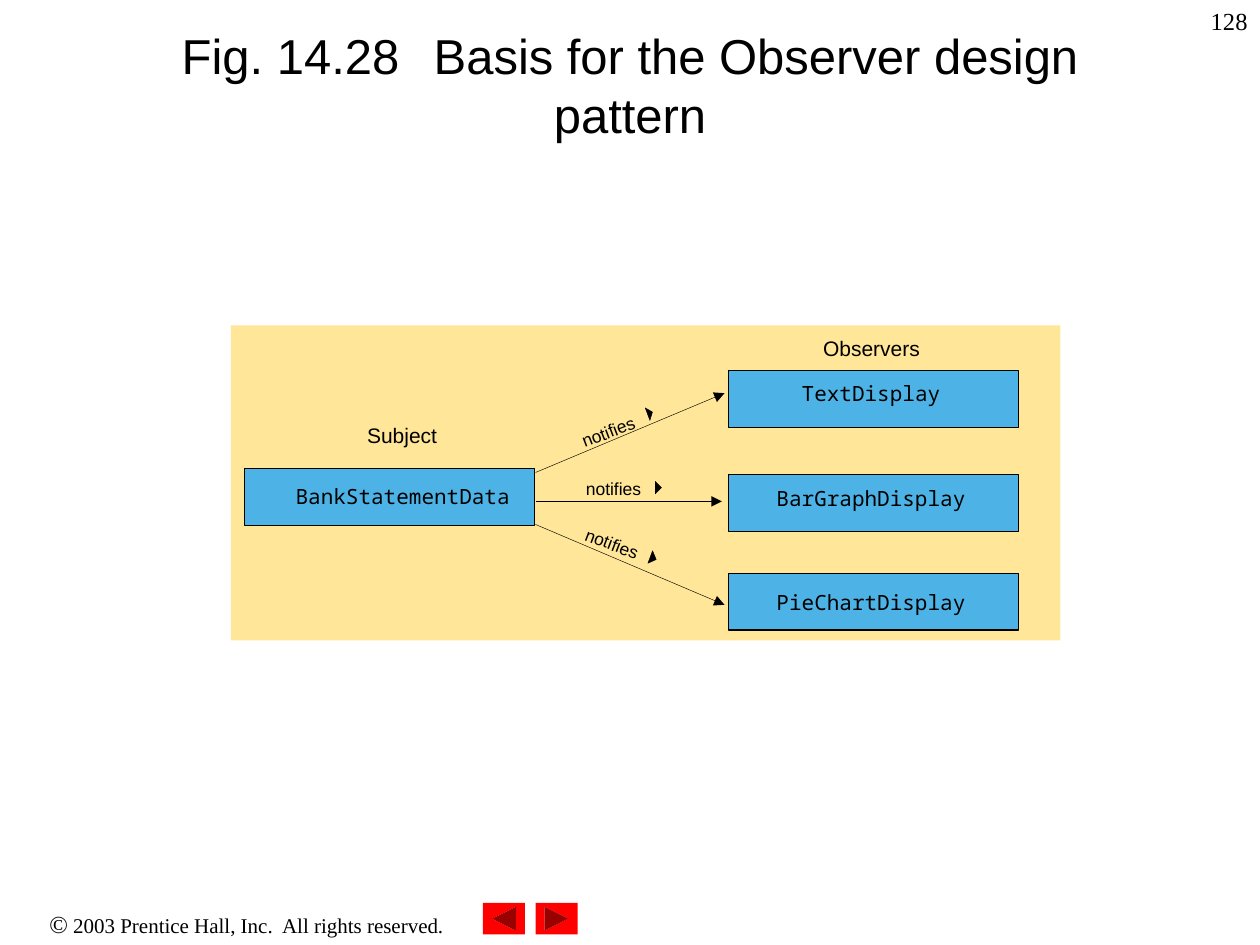
from lxml import etree
from pptx import Presentation
from pptx.dml.color import RGBColor
from pptx.enum.shapes import MSO_CONNECTOR, MSO_SHAPE
from pptx.enum.text import MSO_ANCHOR, PP_ALIGN
from pptx.oxml.ns import qn
from pptx.util import Inches, Pt

LEFT, CENTER, RIGHT = PP_ALIGN.LEFT, PP_ALIGN.CENTER, PP_ALIGN.RIGHT
TOP, MIDDLE = MSO_ANCHOR.TOP, MSO_ANCHOR.MIDDLE
RECTANGLE = MSO_SHAPE.RECTANGLE
NEXT_BUTTON = MSO_SHAPE.ACTION_BUTTON_FORWARD_OR_NEXT
STRAIGHT = MSO_CONNECTOR.STRAIGHT

THEME = {
    "ink": RGBColor.from_string("000000"),
    "panel": RGBColor.from_string("FFE699"),
    "class": RGBColor.from_string("4DB3E6"),
    "button": RGBColor.from_string("FF0000"),
    "sans": "Arial",
    "mono": "Noto Sans Mono",
    "serif": "Times New Roman",
    "title": Pt(28),
    "number": Pt(14),
    "label": Pt(12),
    "small": Pt(10),
}

deck = Presentation()
deck.slide_width, deck.slide_height = Inches(10), Inches(7.5)
COLUMNS, ROWS = 120, 90
page = deck.slides.add_slide(deck.slide_layouts[6])


def grid(column, row):
    return (round(column * deck.slide_width / COLUMNS),
            round(row * deck.slide_height / ROWS))


def add_text(text, area, font, size, align, anchor=TOP, tight=False, angle=0):
    box = page.shapes.add_textbox(*grid(*area[:2]), *grid(*area[2:]))
    box.rotation = angle
    frame = box.text_frame
    frame.word_wrap = True
    frame.vertical_anchor = anchor
    para = frame.paragraphs[0]
    if tight:
        frame.margin_left = frame.margin_right = 0
        frame.margin_top = frame.margin_bottom = 0
        para.line_spacing = 0.8
    para.alignment = align
    para.font.name = THEME[font]
    para.font.size = THEME[size]
    para.font.color.rgb = THEME["ink"]
    para.add_run().text = text
    return para


copyright_line = add_text("©", (0, 86, 47, 4), "serif", "label", CENTER)
copyright_line.runs[0].font.size = THEME["number"]
copyright_line.add_run().text = " 2003 Prentice Hall, Inc.  All rights reserved."
add_text("128", (95, 0, 25, 6), "serif", "number", RIGHT)
add_text("Fig. 14.28\tBasis for the Observer design pattern",
         (9, 1, 102, 14), "sans", "title", CENTER, MIDDLE)

CLASS_WIDTH, CLASS_HEIGHT = 27.6, 5.4
blocks = [
    (NEXT_BUTTON, (51, 86, 4, 3), "button", 0),
    (NEXT_BUTTON, (46, 86, 4, 3), "button", 180),
    (RECTANGLE, (22, 31, 79, 30), "panel", 0),
]
for left, top in [(69.4, 35.3), (69.4, 45.2), (69.4, 54.6), (23.3, 44.65)]:
    blocks.append((RECTANGLE, (left, top, CLASS_WIDTH, CLASS_HEIGHT), "class", 0))

for kind, area, fill, angle in blocks:
    block = page.shapes.add_shape(kind, *grid(*area[:2]), *grid(*area[2:]))
    block.shadow.inherit = False
    block.rotation = angle
    block.fill.solid()
    block.fill.fore_color.rgb = THEME[fill]
    if fill == "class":
        block.line.color.rgb = THEME["ink"]
        block.line.width = Pt(0.75)
    else:
        block.line.fill.background()

for start, end in [
    ((51, 45), (69, 37.45)),
    ((51, 47.75), (68.75, 47.75)),
    ((51, 49.95), (69, 57.6)),
]:
    arrow = page.shapes.add_connector(STRAIGHT, *grid(*start), *grid(*end))
    arrow.line.color.rgb = THEME["ink"]
    arrow.line.width = Pt(0.25)
    etree.SubElement(arrow.line._get_or_add_ln(), qn("a:tailEnd"), type="triangle")
    etree.SubElement(arrow._element.spPr, qn("a:effectLst"))

for corners in [
    [(62.15, 39.25), (61.45, 38.85), (61.9, 40.05)],
    [(63, 46.45), (62.4, 45.85), (62.4, 47.05)],
    [(62.5, 53.3), (62.15, 52.45), (61.7, 53.65)],
]:
    points = [grid(*corner) for corner in corners]
    outline = page.shapes.build_freeform(*points[0])
    outline.add_line_segments(points[1:], close=True)
    pointer = outline.convert_to_shape()
    pointer.shadow.inherit = False
    pointer.fill.solid()
    pointer.fill.fore_color.rgb = THEME["ink"]
    pointer.line.color.rgb = THEME["ink"]
    pointer.line.width = Pt(0.2)

for left, top, angle in [(55.45, 40.3, 339), (55.8, 45.95, 0), (55.45, 51.25, 21)]:
    add_text("notifies", (left, top, 6.1, 2.3), "sans", "small", LEFT,
             tight=True, angle=angle)

for text, area in [("Subject", (34.2, 40.7, 8.2, 2.3)),
                   ("Observers", (76.8, 32.4, 12.4, 2.3))]:
    add_text(text, area, "sans", "label", CENTER, tight=True)

add_text("BankStatementData", (26.9, 46.55, 22.9, 2.1), "mono", "label",
         CENTER, tight=True)
for row, name in enumerate(["TextDisplay", "BarGraphDisplay", "PieChartDisplay"]):
    add_text(name, (70.3, 36.7 + 9.96 * row, 25.3, 2.1), "mono", "label",
             CENTER, tight=True)

deck.save("out.pptx")
